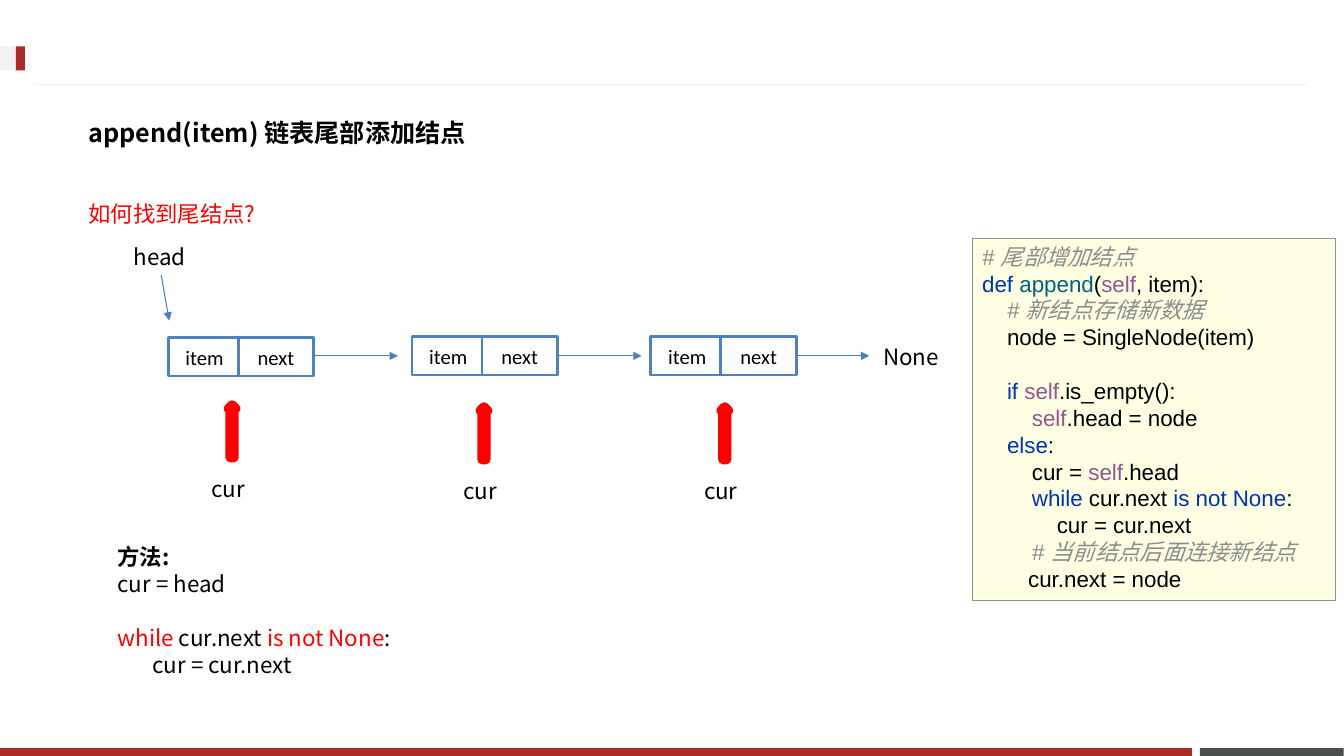
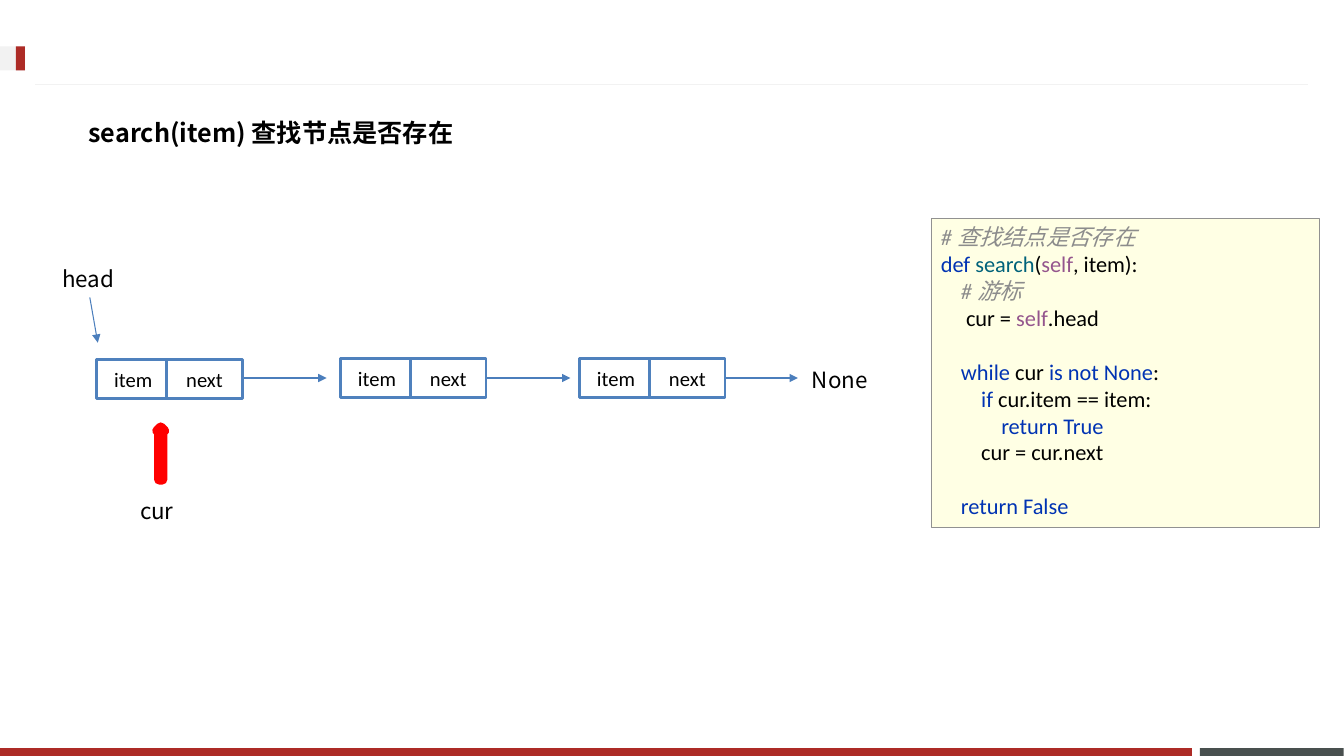
from pptx import Presentation
from pptx.dml.color import RGBColor
from pptx.enum.shapes import MSO_CONNECTOR, MSO_SHAPE
from pptx.enum.text import MSO_ANCHOR, PP_ALIGN
from pptx.oxml.ns import qn
from pptx.util import Pt
from lxml.etree import SubElement


def color(value):
    return RGBColor.from_string(value)


class Deck:
    RED, SLATE, PALE = "AD2B26", "49504F", "F2F2F2"
    BLACK, WHITE, MARK = "000000", "FFFFFF", "FF0000"
    NODE, ARROW = "4F81BD", "4B7EBC"
    PAPER, EDGE = "FFFFE4", "919191"
    SYNTAX = {"plain": BLACK, "key": "0033B3", "name": "00627A",
              "self": "94558D", "note": "8C8C8C", "mark": MARK, "bold": BLACK}
    CJK = "Noto Sans CJK SC"
    NODE_LEFTS = (0, 174.2, 345)
    ARROW_TIPS = (164.2, 338.4, 501)

    def __init__(self):
        self.prs = Presentation()
        self.prs.slide_width, self.prs.slide_height = Pt(960.48), Pt(540)
        self.s = None

    def slide(self, title):
        self.s = self.prs.slides.add_slide(self.prs.slide_layouts[6])
        self.shape(857.6, 534.3, 102.6, 5.7, self.SLATE)
        self.shape(0, 534.3, 851.8, 5.7, self.RED)
        self.line(934.6, 60.5, 25.2, 60.5, self.PALE)
        self.shape(0, 33.1, 18, 17.3, self.PALE)
        self.shape(11.3, 33.1, 6.5, 17.3, self.RED)
        self.text(56.2, 74.2, 846.7, 41, [(0, 0, [("bold", title)])],
                  size=18, anchor=MSO_ANCHOR.MIDDLE)

    def shape(self, x, y, w, h, fill, line=None, width=1, kind=MSO_SHAPE.RECTANGLE):
        sp = self.s.shapes.add_shape(kind, Pt(x), Pt(y), Pt(w), Pt(h))
        sp.shadow.inherit = False
        sp.fill.solid()
        sp.fill.fore_color.rgb = color(fill)
        if line:
            sp.line.color.rgb = color(line)
            sp.line.width = Pt(width)
        else:
            sp.line.fill.background()
        return sp

    def line(self, x1, y1, x2, y2, stroke, head=False):
        c = self.s.shapes.add_connector(
            MSO_CONNECTOR.STRAIGHT, Pt(x1), Pt(y1), Pt(x2), Pt(y2))
        c.line.color.rgb = color(stroke)
        c.line.width = Pt(0.75)
        spPr = c._element.spPr
        if head:
            SubElement(spPr.find(qn("a:ln")), qn("a:tailEnd"), type="triangle")
        SubElement(spPr, qn("a:effectLst"))

    def fill_lines(self, tf, lines, size, font, step):
        tf.word_wrap = True
        for i, (indent, gap, runs) in enumerate(lines):
            p = tf.add_paragraph() if i else tf.paragraphs[0]
            p.alignment = PP_ALIGN.LEFT
            p.line_spacing = Pt(size * 1.2)
            p.space_before = Pt(gap * size * 1.2)
            p.font.size, p.font.name = Pt(size), font
            pPr = p._p.get_or_add_pPr()
            pPr.set("marL", str(Pt(indent * step)))
            pPr.set("indent", "0")
            SubElement(pPr.find(qn("a:defRPr")), qn("a:ea"), typeface=self.CJK)
            for kind, words in runs:
                r = p.add_run()
                r.text = words
                r.font.color.rgb = color(self.SYNTAX[kind])
                if kind == "note":
                    r.font.italic = True
                if kind == "bold":
                    r.font.bold = True

    def text(self, x, y, w, h, lines, size=16, anchor=MSO_ANCHOR.TOP, step=25):
        tf = self.s.shapes.add_textbox(Pt(x), Pt(y), Pt(w), Pt(h)).text_frame
        tf.vertical_anchor = anchor
        self.fill_lines(tf, lines, size, self.CJK, step)

    def label(self, x, y, w, words, kind="plain"):
        self.text(x, y, w, 26.6, [(0, 0, [(kind, words)])])

    def code(self, x, y, w, h, lines, font, step):
        tf = self.shape(x, y, w, h, self.PAPER, self.EDGE, 0.25).text_frame
        tf.vertical_anchor = MSO_ANCHOR.TOP
        self.fill_lines(tf, lines, 16, font, step)

    def cell(self, x, y, w, words):
        sp = self.shape(x, y, w, 27.4, self.WHITE, self.NODE, 2)
        p = sp.text_frame.paragraphs[0]
        p.text, p.alignment = words, PP_ALIGN.CENTER
        p.font.size, p.font.name = Pt(14.7), "Calibri"
        p.font.color.rgb = color(self.BLACK)

    def pointer(self, x, y):
        self.shape(x, y, 5, 37.4, self.MARK, self.MARK, 7, MSO_SHAPE.UP_ARROW)
        self.label(x - 19.4, y + 46.6, 44, "cur")

    def chain(self, x, y, pointers):
        self.label(x - 31.7, y - 71.3, 60, "head")
        self.line(x - 5, y - 44.6, x + 0.7, y - 12.2, self.ARROW, True)
        for i, (left, tip) in enumerate(zip(self.NODE_LEFTS, self.ARROW_TIPS)):
            top = y - 0.7 if i else y
            self.line(x + left + 103.8, y + 13, x + tip, y + 13, self.ARROW, True)
            self.cell(x + left, top, 52, "item")
            self.cell(x + left + 50, top, 54, "next")
        self.label(x + 504, y + 0.7, 62, "None")
        for dx, dy in pointers:
            self.pointer(x + dx, y + dy)

    def save(self):
        self.prs.save("out.pptx")


METHOD = [
    (0, 0, [("bold", "方法:")]),
    (0, 0, [("plain", "cur = head")]),
    (0, 1, [("mark", "while "), ("plain", "cur.next "),
            ("mark", "is not None"), ("plain", ":")]),
    (1, 0, [("plain", "cur = cur.next")]),
]

APPEND = [
    (0, 0, [("note", "# 尾部增加结点")]),
    (0, 0, [("key", "def "), ("name", "append"), ("plain", "("),
            ("self", "self"), ("plain", ", item):")]),
    (1, 0, [("note", "# 新结点存储新数据")]),
    (1, 0, [("plain", "node = SingleNode(item)")]),
    (1, 1, [("key", "if "), ("self", "self"), ("plain", ".is_empty():")]),
    (2, 0, [("self", "self"), ("plain", ".head = node")]),
    (1, 0, [("key", "else"), ("plain", ":")]),
    (2, 0, [("plain", "cur = "), ("self", "self"), ("plain", ".head")]),
    (2, 0, [("key", "while "), ("plain", "cur.next "),
            ("key", "is not None"), ("plain", ":")]),
    (3, 0, [("plain", "cur = cur.next")]),
    (2, 0, [("note", "# 当前结点后面连接新结点")]),
    (1.85, 0, [("plain", "cur.next = node")]),
]

SEARCH = [
    (0, 0, [("note", "# 查找结点是否存在")]),
    (0, 0, [("key", "def "), ("name", "search"), ("plain", "("),
            ("self", "self"), ("plain", ", item):")]),
    (1, 0, [("note", "# 游标")]),
    (1.25, 0, [("plain", "cur = "), ("self", "self"), ("plain", ".head")]),
    (1, 1, [("key", "while "), ("plain", "cur "),
            ("key", "is not None"), ("plain", ":")]),
    (2, 0, [("key", "if "), ("plain", "cur.item == item:")]),
    (3, 0, [("key", "return True")]),
    (2, 0, [("plain", "cur = cur.next")]),
    (1, 1, [("key", "return False")]),
]


def main():
    deck = Deck()

    deck.slide("append(item) 链表尾部添加结点")
    deck.chain(120.2, 241.2, [(43.2, 48.2), (223.2, 49.6), (395.3, 49.6)])
    deck.label(56.2, 139.7, 135.4, "如何找到尾结点?", "mark")
    deck.text(77, 384.5, 218.9, 123.8, METHOD)
    deck.code(694.8, 169.9, 259.2, 259.2, APPEND, "Arial", 17.8)

    deck.slide("search(item) 查找节点是否存在")
    deck.chain(69.2, 257, [(43.2, 48.2)])
    deck.code(665.3, 156.2, 277.2, 220.3, SEARCH, "Calibri", 14.4)

    deck.save()


if __name__ == "__main__":
    main()
